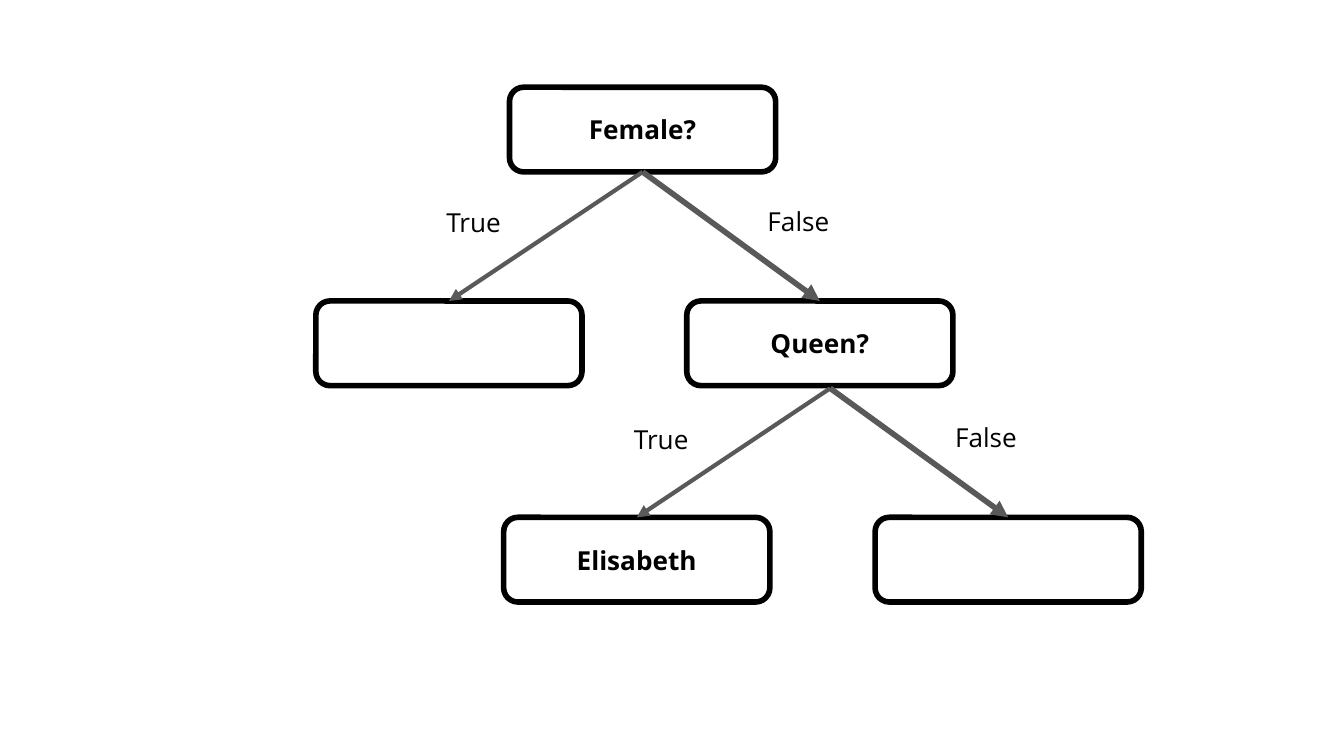
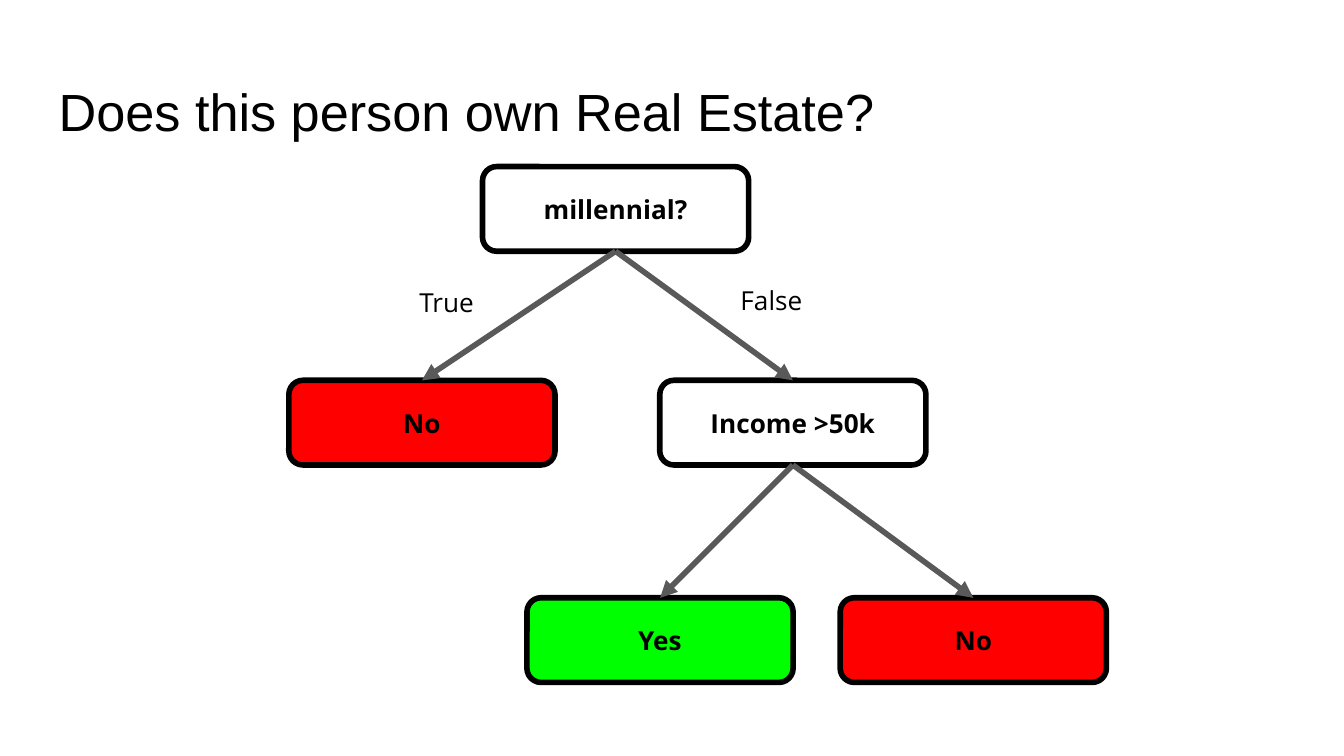
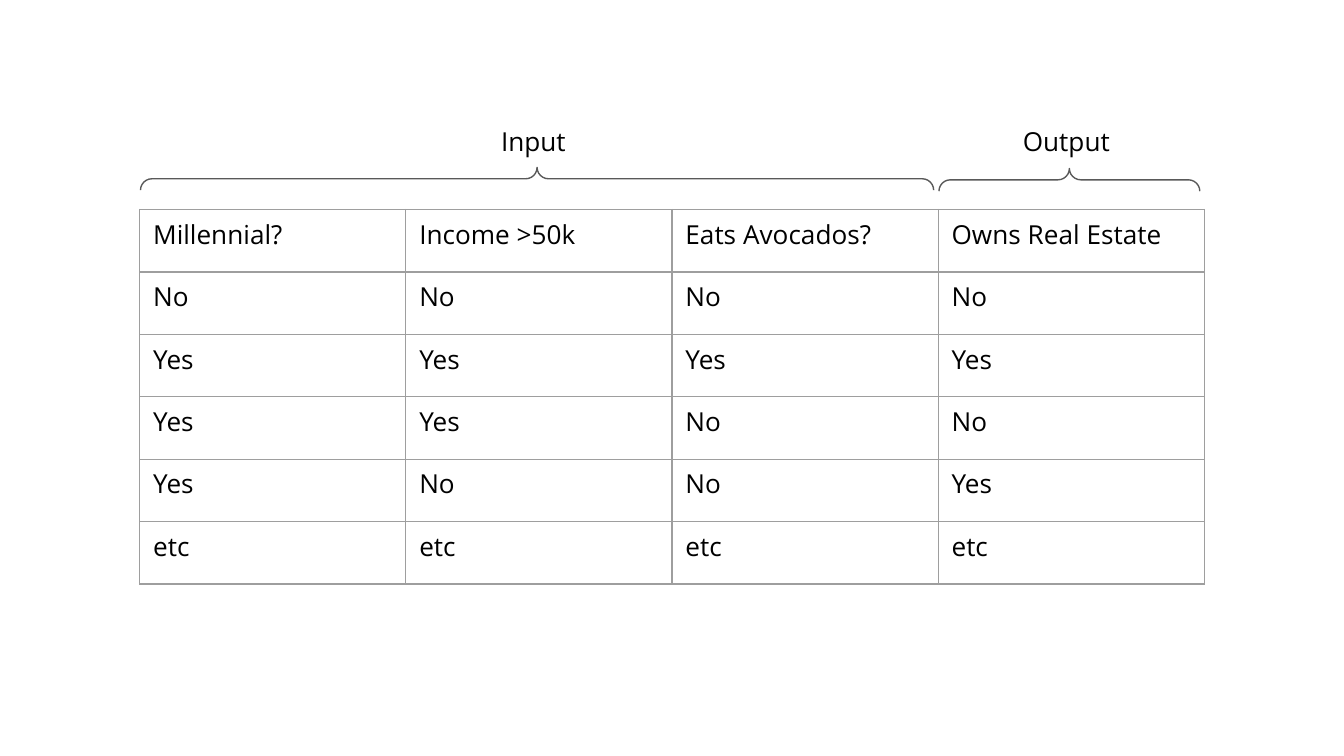
"""Build three slides that explain decision trees."""
from typing import NamedTuple, Optional

from lxml import etree
from pptx import Presentation
from pptx import util as u
from pptx.dml import color as c
from pptx.enum import shapes, text
from pptx.oxml import ns

COLORS = {
    "ink": "000000",
    "arrow": "595959",
    "grid": "9E9E9E",
    "yes": "00FF00",
    "no": "FF0000",
}
BODY = {"name": "Open Sans", "size": u.Pt(14), "bold": False}
NODE = {**BODY, "bold": True}
TITLE = {"name": "Arial", "size": u.Pt(28), "bold": False}
INSETS = ("margin_left", "margin_top", "margin_right", "margin_bottom")

NODE_W, NODE_H = 5.03, 1.6
GRID_X, GRID_Y, COL_W, ROW_H = 2.64, 3.96, 5.03, 1.18
BRACE_DEPTH = 0.43
TOP, BOTTOM = 0, 2


class Node(NamedTuple):
    x: float
    y: float
    label: str = ""
    fill: Optional[str] = None


class Branch(NamedTuple):
    parent: str
    child: str
    width: float = 3
    label: str = ""
    start: Optional[tuple[float, float]] = None


class Brace(NamedTuple):
    label: str
    label_x: float
    center_x: float
    center_y: float
    length: float


LABEL_OFFSETS = {"True": (-3.96, 0.41), "False": (2.11, 0.38)}

GUESS_NODES = {
    "female": Node(9.63, 1.65, "Female?"),
    "female true": Node(5.97, 5.69),
    "queen": Node(12.98, 5.69, "Queen?"),
    "queen true": Node(9.52, 9.78, "Elisabeth"),
    "queen false": Node(16.54, 9.78),
}
QUEEN_FORK = (15.69, 7.34)
GUESS_BRANCHES = [
    Branch("female", "female true", 2.25, "True"),
    Branch("female", "queen", 3, "False"),
    Branch("queen", "queen true", 2.25, "True", QUEEN_FORK),
    Branch("queen", "queen false", 3, "False", QUEEN_FORK),
]

ESTATE_NODES = {
    "millennial": Node(9.12, 3.15, "millennial?"),
    "millennial true": Node(5.46, 7.19, "No", "no"),
    "income": Node(12.47, 7.19, "Income >50k"),
    "income true": Node(9.96, 11.3, "Yes", "yes"),
    "income false": Node(15.88, 11.3, "No", "no"),
}
ESTATE_BRANCHES = [
    Branch("millennial", "millennial true", label="True"),
    Branch("millennial", "income", label="False"),
    Branch("income", "income true"),
    Branch("income", "income false"),
]

SAMPLES = [
    ("Millennial?", "Income >50k", "Eats Avocados?", "Owns Real Estate"),
    ("No", "No", "No", "No"),
    ("Yes", "Yes", "Yes", "Yes"),
    ("Yes", "Yes", "No", "No"),
    ("Yes", "No", "No", "Yes"),
    ("etc", "etc", "etc", "etc"),
]
BRACES = [
    Brace("Input", 9.22, 10.15, 3.38, 14.99),
    Brace("Output", 19.08, 20.21, 3.4, 4.93),
]


def rgb(name: str) -> c.RGBColor:
    return c.RGBColor.from_string(COLORS[name])


def write(tf, words: str, style: dict, align=text.PP_ALIGN.LEFT) -> None:
    p = tf.paragraphs[0]
    p.alignment = align
    r = p.add_run()
    r.text = words
    for key, value in style.items():
        setattr(r.font, key, value)
    r.font.color.rgb = rgb("ink")


def set_insets(tf) -> None:
    tf.word_wrap = True
    for side in INSETS:
        setattr(tf, side, u.Cm(0.25))


def set_line(line, name: str, width: float) -> None:
    line.color.rgb = rgb(name)
    line.width = u.Pt(width)


def add_label(s, words: str, x: float, y: float, w: float, h: float, style: dict = BODY) -> None:
    tf = s.shapes.add_textbox(u.Cm(x), u.Cm(y), u.Cm(w), u.Cm(h)).text_frame
    set_insets(tf)
    write(tf, words, style)


def add_node(s, node: Node):
    sp = s.shapes.add_shape(
        shapes.MSO_SHAPE.ROUNDED_RECTANGLE,
        u.Cm(node.x), u.Cm(node.y), u.Cm(NODE_W), u.Cm(NODE_H),
    )
    sp.shadow.inherit = False
    if node.fill:
        sp.fill.solid()
        sp.fill.fore_color.rgb = rgb(node.fill)
    else:
        sp.fill.background()
    set_line(sp.line, "ink", 3)
    if node.label:
        set_insets(sp.text_frame)
        sp.text_frame.vertical_anchor = text.MSO_ANCHOR.MIDDLE
        write(sp.text_frame, node.label, NODE, text.PP_ALIGN.CENTER)
    return sp


def add_branch(s, branch: Branch, nodes: dict[str, Node], boxes: dict) -> None:
    parent, child = nodes[branch.parent], nodes[branch.child]
    x, y = branch.start or (parent.x + NODE_W / 2, parent.y + NODE_H)
    arrow = s.shapes.add_connector(
        shapes.MSO_CONNECTOR.STRAIGHT,
        u.Cm(x), u.Cm(y), u.Cm(child.x + NODE_W / 2), u.Cm(child.y),
    )
    if not branch.start:
        arrow.begin_connect(boxes[branch.parent], BOTTOM)
    arrow.end_connect(boxes[branch.child], TOP)
    set_line(arrow.line, "arrow", branch.width)
    etree.SubElement(arrow.line._get_or_add_ln(), ns.qn("a:tailEnd"), type="triangle")
    etree.SubElement(arrow._element.spPr, ns.qn("a:effectLst"))
    if branch.label:
        dx, dy = LABEL_OFFSETS[branch.label]
        add_label(s, branch.label, x + dx, y + dy, 2.16, 0.81)


def add_tree(s, nodes: dict[str, Node], branches: list[Branch]) -> None:
    boxes = {name: add_node(s, node) for name, node in nodes.items()}
    for branch in branches:
        add_branch(s, branch, nodes, boxes)


def add_borders(cell) -> None:
    tcPr = cell._tc.get_or_add_tcPr()
    for side in ("lnL", "lnR", "lnT", "lnB"):
        ln = etree.SubElement(tcPr, ns.qn(f"a:{side}"), w=str(u.Pt(0.75)))
        fill = etree.SubElement(ln, ns.qn("a:solidFill"))
        etree.SubElement(fill, ns.qn("a:srgbClr"), val=COLORS["grid"])


def add_samples(s) -> None:
    rows, cols = len(SAMPLES), len(SAMPLES[0])
    table = s.shapes.add_table(
        rows, cols, u.Cm(GRID_X), u.Cm(GRID_Y), u.Cm(cols * COL_W), u.Cm(rows * ROW_H)
    ).table
    table.first_row = table.horz_banding = False
    for column in table.columns:
        column.width = u.Cm(COL_W)
    for row, values in zip(table.rows, SAMPLES):
        row.height = u.Cm(ROW_H)
        for cell, value in zip(row.cells, values):
            add_borders(cell)
            cell.fill.background()
            write(cell.text_frame, value, BODY)


def add_brace(s, brace: Brace) -> None:
    sp = s.shapes.add_shape(
        shapes.MSO_SHAPE.LEFT_BRACE,
        u.Cm(brace.center_x - BRACE_DEPTH / 2), u.Cm(brace.center_y - brace.length / 2),
        u.Cm(BRACE_DEPTH), u.Cm(brace.length),
    )
    sp.rotation = 90
    sp.shadow.inherit = False
    sp.adjustments[0] = sp.adjustments[1] = 0.5
    sp.fill.background()
    set_line(sp.line, "arrow", 0.75)
    add_label(s, brace.label, brace.label_x, 2.13, 3.84, 0.79)


def main() -> None:
    prs = Presentation()
    prs.slide_width, prs.slide_height = u.Cm(25.4), u.Cm(14.29)
    guess, estate, data = (prs.slides.add_slide(prs.slide_layouts[6]) for _ in range(3))

    add_tree(guess, GUESS_NODES, GUESS_BRANCHES)

    add_label(estate, "Does this person own Real Estate?", 0.86, 1.24, 23.67, 1.6, TITLE)
    add_tree(estate, ESTATE_NODES, ESTATE_BRANCHES)

    add_samples(data)
    for brace in BRACES:
        add_brace(data, brace)

    prs.save("out.pptx")


if __name__ == "__main__":
    main()
